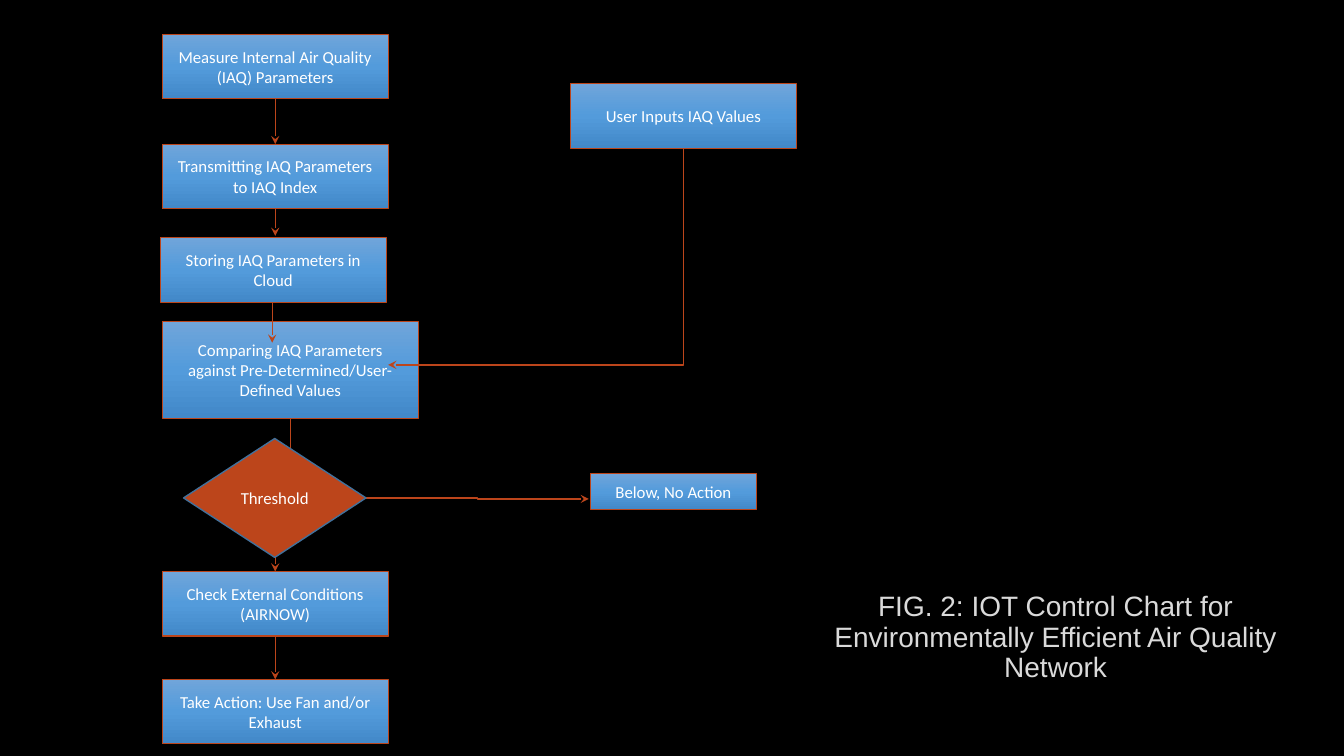
"""Builds the air quality control flowchart slide."""
from copy import deepcopy
from dataclasses import dataclass

from lxml.etree import SubElement, fromstring
from pptx import Presentation
from pptx.dml.color import RGBColor
from pptx.enum.shapes import MSO_CONNECTOR, MSO_SHAPE
from pptx.enum.text import MSO_ANCHOR, PP_ALIGN
from pptx.oxml.ns import nsdecls, qn
from pptx.util import Inches, Pt

BLACK = RGBColor(0x00, 0x00, 0x00)
WHITE = RGBColor(0xFF, 0xFF, 0xFF)
RUST = RGBColor(0xBC, 0x45, 0x1B)
STEEL = RGBColor(0x42, 0x71, 0x9B)
SILVER = RGBColor(0xDA, 0xDA, 0xDA)
BLUES = (RGBColor(0x70, 0xA5, 0xDA), RGBColor(0x53, 0x9B, 0xDB), RGBColor(0x42, 0x88, 0xC8))

LABEL_FONT = {"name": "Calibri", "size": Pt(12)}
CAPTION_FONT = {"name": "Arial", "size": Pt(20)}
STEP_W, STEP_H = 2.24, 0.64
STEP_X = 1.61
MID_X = 2.73


@dataclass
class Box:
    text: str
    x: float
    y: float
    w: float = STEP_W
    h: float = STEP_H


@dataclass
class Arrow:
    x1: float
    y1: float
    x2: float
    y2: float
    kind: MSO_CONNECTOR = MSO_CONNECTOR.STRAIGHT


BOXES = [
    Box("Measure Internal Air Quality (IAQ) Parameters", STEP_X, 0.34),
    Box("Transmitting IAQ Parameters to IAQ Index", STEP_X, 1.43),
    Box("Storing IAQ Parameters in Cloud", 1.59, 2.36),
    Box("Comparing IAQ Parameters against Pre-Determined/User-Defined Values",
        STEP_X, 3.19, 2.54, 0.96),
    Box("Check External Conditions (AIRNOW)", STEP_X, 5.67),
    Box("Take Action: Use Fan and/or Exhaust", STEP_X, 6.74),
    Box("User Inputs IAQ Values", 5.66, 0.83),
    Box("Below, No Action", 5.86, 4.7, 1.64, 0.36),
]
THRESHOLD = Box("Threshold", 1.82, 4.35, 1.81, 1.18)

ARROWS = [
    Arrow(MID_X, 0.98, MID_X, 1.43),
    Arrow(MID_X, 2.07, MID_X, 2.34),
    Arrow(2.7, 3, 2.7, 3.4),
    Arrow(2.88, 4.15, 2.88, 4.56),
    Arrow(MID_X, 5.27, MID_X, 5.67),
    Arrow(MID_X, 6.31, MID_X, 6.74),
    Arrow(3.63, 4.94, 5.84, 4.95, MSO_CONNECTOR.ELBOW),
]
USER_INPUT_ARROW = Arrow(4.24, 1.08, 6.39, 4.01, MSO_CONNECTOR.ELBOW)


def write(tf, text: str, font: dict, color: RGBColor):
    """Put one centred run in a text frame and return it."""
    tf.word_wrap = True
    p = tf.paragraphs[0]
    p.alignment = PP_ALIGN.CENTER
    r = p.add_run()
    r.text = text
    for name, value in font.items():
        setattr(r.font, name, value)
    r.font.color.rgb = color
    return r


def add_box(s, box: Box, kind: MSO_SHAPE, line: RGBColor, width: float):
    """Add a labelled flowchart shape and return it."""
    sp = s.shapes.add_shape(kind, *map(Inches, (box.x, box.y, box.w, box.h)))
    sp.shadow.inherit = False
    sp.line.color.rgb = line
    sp.line.width = Pt(width)
    sp.text_frame.vertical_anchor = MSO_ANCHOR.MIDDLE
    write(sp.text_frame, box.text, LABEL_FONT, WHITE)
    return sp


def fill_blue(sp) -> None:
    """Give a shape the three-stop vertical blue gradient."""
    sp.fill.gradient()
    sp.fill.gradient_angle = 270
    stop_list = sp._element.spPr.find(qn("a:gradFill")).find(qn("a:gsLst"))
    stop_list.insert(1, deepcopy(stop_list[0]))
    for i, (stop, color) in enumerate(zip(sp.fill.gradient_stops, BLUES)):
        stop.position = i / 2
        stop.color.rgb = color


def add_arrow(s, arrow: Arrow):
    """Add a connector with a stealth head and return it."""
    ends = map(Inches, (arrow.x1, arrow.y1, arrow.x2, arrow.y2))
    cxn = s.shapes.add_connector(arrow.kind, *ends)
    cxn.line.color.rgb = RUST
    cxn.line.width = Pt(1)
    spPr = cxn._element.spPr
    SubElement(spPr.find(qn("a:ln")), qn("a:tailEnd"), type="stealth")
    SubElement(spPr, qn("a:effectLst"))
    return cxn


def add_corner_arrow(s, arrow: Arrow) -> None:
    """Add a one-bend arrow turned by a quarter."""
    spPr = add_arrow(s, arrow)._element.spPr
    spPr.find(qn("a:xfrm")).set("rot", "5400000")
    spPr.find(qn("a:prstGeom")).set("prst", "bentConnector2")


def add_caption(s, text: str) -> None:
    """Place the figure caption in the subtitle placeholder."""
    title, sp = s.placeholders
    title._element.getparent().remove(title._element)
    sp.left, sp.top, sp.width, sp.height = map(Inches, (7.9, 5.83, 5.14, 1.34))
    sp.text_frame.vertical_anchor = MSO_ANCHOR.TOP
    r = write(sp.text_frame, text, CAPTION_FONT, SILVER)
    p = sp.text_frame.paragraphs[0]
    p.line_spacing = 0.9
    p.space_before = Pt(0)
    outline = fromstring(
        f'<a:ln {nsdecls("a")} w="9525"><a:solidFill><a:srgbClr val="404040">'
        '<a:alpha val="10000"/></a:srgbClr></a:solidFill></a:ln>')
    r.font._element.insert(0, outline)


def main() -> None:
    """Build and save the slide."""
    prs = Presentation()
    prs.slide_width, prs.slide_height = Inches(13.33), Inches(7.5)
    s = prs.slides.add_slide(prs.slide_layouts[0])
    s.background.fill.solid()
    s.background.fill.fore_color.rgb = BLACK
    add_caption(s, "FIG. 2: IOT Control Chart for Environmentally Efficient Air Quality Network")
    for box in BOXES:
        fill_blue(add_box(s, box, MSO_SHAPE.RECTANGLE, RUST, 0.75))
    for arrow in ARROWS:
        add_arrow(s, arrow)
    add_corner_arrow(s, USER_INPUT_ARROW)
    diamond = add_box(s, THRESHOLD, MSO_SHAPE.DIAMOND, STEEL, 1)
    diamond.fill.solid()
    diamond.fill.fore_color.rgb = RUST
    prs.save("out.pptx")


if __name__ == "__main__":
    main()
